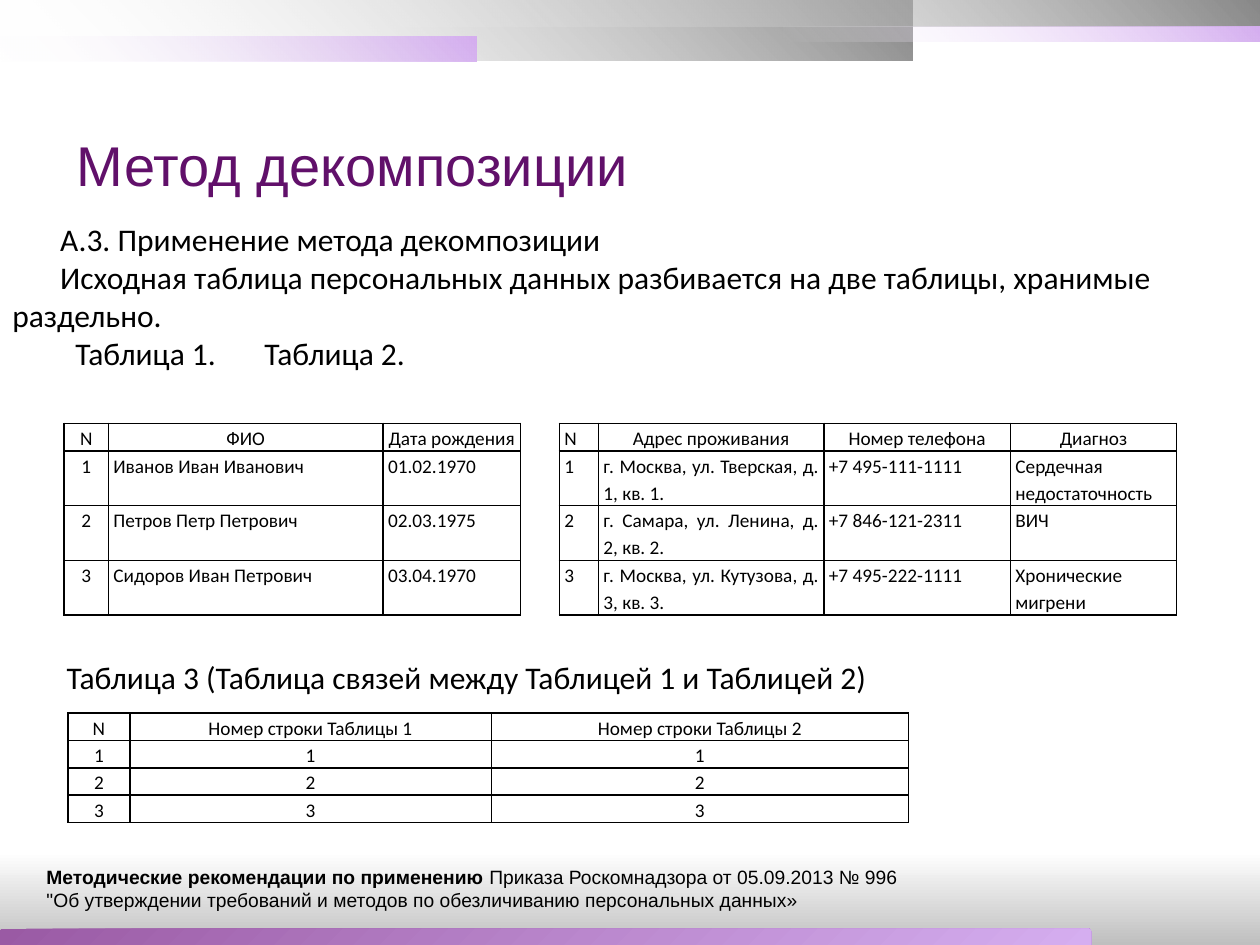
from lxml.etree import SubElement
from pptx import Presentation
from pptx.dml.color import RGBColor
from pptx.enum.shapes import MSO_SHAPE
from pptx.enum.text import MSO_ANCHOR, PP_ALIGN
from pptx.oxml import parse_xml
from pptx.oxml.ns import nsdecls, qn
from pptx.util import Inches, Pt

COLORS = {
    "black": "000000",
    "white": "FFFFFF",
    "silver": "BFBFBF",
    "gray": "888888",
    "violet": "9A5AA4",
    "lilac": "D5AEF0",
    "title": "61106A",
}
ALIGNMENTS = {"l": PP_ALIGN.LEFT, "c": PP_ALIGN.CENTER, "j": PP_ALIGN.JUSTIFY}
PLAIN_TABLE_STYLE = "{2D5ABB26-0587-4C30-8999-92F81FD0307C}"

TITLE = {"size": Pt(32), "name": "Arial"}
BODY = {"size": Pt(18), "name": "Calibri"}
CELL = {"size": Pt(11), "name": "Calibri"}
FOOTER = {"size": Pt(11), "name": "Arial", "bold": False}
FOOTER_BOLD = {**FOOTER, "bold": True}

CORNER_GLOW = (
    '<a:path path="circle"><a:fillToRect l="100000" t="0" r="0" b="100000"/></a:path>'
)


def linear(angle):
    return f'<a:lin ang="{angle * 60000}" scaled="0"/>'


class SlideBuilder:
    def __init__(self, deck):
        self.page = deck.slides.add_slide(deck.slide_layouts[5])

    def add_span(self, paragraph, text, style, color="black"):
        span = paragraph.add_run()
        span.text = text
        for name, value in style.items():
            setattr(span.font, name, value)
        span.font.color.rgb = RGBColor.from_string(COLORS[color])

    def place(self, shape, bounds):
        for name, value in zip(("left", "top", "width", "height"), bounds):
            setattr(shape, name, Inches(value))

    def title(self, text, bounds):
        box = self.page.shapes.title
        self.place(box, bounds)
        box.text_frame.vertical_anchor = MSO_ANCHOR.MIDDLE
        para = box.text_frame.paragraphs[0]
        para.alignment = PP_ALIGN.LEFT
        self.add_span(para, text, TITLE, "title")

    def band(self, bounds, stops, direction, kind=MSO_SHAPE.RECTANGLE):
        shape = self.page.shapes.add_shape(kind, *map(Inches, bounds))
        shape.shadow.inherit = False
        shape.line.fill.background()
        marks = "".join(
            f'<a:gs pos="{position * 1000}"><a:srgbClr val="{COLORS[color]}">'
            f'<a:alpha val="{opacity * 1000}"/></a:srgbClr></a:gs>'
            for position, color, opacity in stops
        )
        gradient = parse_xml(
            f'<a:gradFill {nsdecls("a")} rotWithShape="1">'
            f"<a:gsLst>{marks}</a:gsLst>{direction}</a:gradFill>"
        )
        shape.element.spPr.find(qn("a:prstGeom")).addnext(gradient)

    def text(self, bounds, lines, indent=0, tabs=()):
        box = self.page.shapes.add_textbox(*map(Inches, bounds))
        frame = box.text_frame
        frame.word_wrap = True
        for index, spans in enumerate(lines):
            para = frame.add_paragraph() if index else frame.paragraphs[0]
            properties = para._p.get_or_add_pPr()
            if indent:
                properties.set("marL", "0")
                properties.set("indent", str(Inches(indent)))
            if tabs:
                stops = SubElement(properties, qn("a:tabLst"))
                for position in tabs:
                    SubElement(stops, qn("a:tab"), pos=str(Inches(position)), algn="l")
            for text, style in spans:
                self.add_span(para, text, style)

    def border(self, cell, sides):
        properties = cell._tc.get_or_add_tcPr()
        for index, side in enumerate(sides):
            line = parse_xml(
                f'<a:ln{side} {nsdecls("a")} w="12700"><a:solidFill>'
                f'<a:srgbClr val="{COLORS["black"]}"/></a:solidFill></a:ln{side}>'
            )
            properties.insert(index, line)

    def table(self, bounds, widths, heights, rows, header, body, inset, gap=None):
        frame = self.page.shapes.add_table(
            len(heights), len(widths), *map(Inches, bounds)
        )
        table = frame.table
        table.first_row = table.horz_banding = False
        table._tbl.tblPr.find(qn("a:tableStyleId")).text = PLAIN_TABLE_STYLE
        for column, width in zip(table.columns, widths):
            column.width = Inches(width)
        for row, height in zip(table.rows, heights):
            row.height = Inches(height)
        for row, values in enumerate(rows):
            aligns = body if row else header
            for column, text in enumerate(values):
                cell = table.cell(row, column)
                cell.fill.background()
                cell.margin_left = cell.margin_right = Inches(inset)
                cell.margin_top = cell.margin_bottom = 0
                self.border(cell, "LR" if column == gap else "LRTB")
                para = cell.text_frame.paragraphs[0]
                para.alignment = ALIGNMENTS[aligns[column]]
                para.line_spacing = 1.15
                if text:
                    self.add_span(para, text, CELL)
                else:
                    SubElement(para._p, qn("a:endParaRPr"), sz="1100")
        if gap is not None:
            table.cell(0, gap).merge(table.cell(len(rows) - 1, gap))


def main():
    deck = Presentation()
    deck.slide_width, deck.slide_height = Inches(10), Inches(7.5)
    slide = SlideBuilder(deck)

    slide.band((0, 6.03, 10, 1.47), [(0, "silver", 100), (50, "white", 100)], linear(270))
    slide.band(
        (0, 7.37, 8.66, 0.13),
        [(0, "violet", 100), (100, "lilac", 100)],
        linear(45),
        MSO_SHAPE.ROUND_2_SAME_RECTANGLE,
    )
    for bounds, color in (
        ((0, 0, 7.24, 0.48), "gray"),
        ((2.76, 0, 7.24, 0.21), "gray"),
        ((0, 0.29, 3.78, 0.2), "lilac"),
        ((6.22, 0.21, 3.78, 0.12), "lilac"),
    ):
        slide.band(bounds, [(0, color, 100), (100, "white", 0)], CORNER_GLOW)

    slide.title("Метод декомпозиции", (0.51, 0.52, 6.54, 1.57))

    people = [
        ("N", "ФИО", "Дата рождения", "", "N", "Адрес проживания",
         "Номер телефона", "Диагноз"),
        ("1", "Иванов Иван Иванович", "01.02.1970", "", "1",
         "г. Москва, ул. Тверская, д. 1, кв. 1.", "+7 495-111-1111",
         "Сердечная недостаточность"),
        ("2", "Петров Петр Петрович", "02.03.1975", "", "2",
         "г. Самара, ул. Ленина, д. 2, кв. 2.", "+7 846-121-2311", "ВИЧ"),
        ("3", "Сидоров Иван Петрович", "03.04.1970", "", "3",
         "г. Москва, ул. Кутузова, д. 3, кв. 3.", "+7 495-222-1111",
         "Хронические мигрени"),
    ]
    slide.table(
        (0.51, 3.36, 8.82, 1.48),
        [0.35, 2.18, 1.09, 0.31, 0.31, 1.79, 1.48, 1.32],
        [0.22] + [0.42] * 3,
        people, "ccccjccc", "clljjjjj", 0.04, gap=3,
    )

    links = [("N", "Номер строки Таблицы 1", "Номер строки Таблицы 2")]
    links += [(number,) * 3 for number in "123"]
    slide.table(
        (0.54, 5.66, 6.67, 0.84), [0.49, 2.87, 3.31], [0.21] * 4,
        links, "ccc", "ccc", 0.05,
    )

    slide.text(
        (0, 1.7, 9.73, 1.62),
        [
            [("А.3. Применение метода декомпозиции", BODY)],
            [("Исходная таблица персональных данных разбивается на две таблицы, "
              "хранимые раздельно.", BODY)],
            [("\tТаблица 1.\tТаблица 2.", BODY)],
        ],
        indent=0.38,
        tabs=(2, 6.11),
    )
    slide.text(
        (0.43, 5.17, 8.86, 0.4),
        [[("Таблица 3 (Таблица связей между Таблицей 1 и Таблицей 2)", BODY)]],
    )
    slide.text(
        (0.27, 6.82, 7.09, 0.47),
        [
            [("Методические рекомендации по применению ", FOOTER_BOLD),
             ("Приказа Роскомнадзора от 05.09.2013 № 996", FOOTER)],
            [('"Об утверждении требований и методов по обезличиванию '
              'персональных данных»', FOOTER)],
        ],
    )
    deck.save("out.pptx")


if __name__ == "__main__":
    main()
